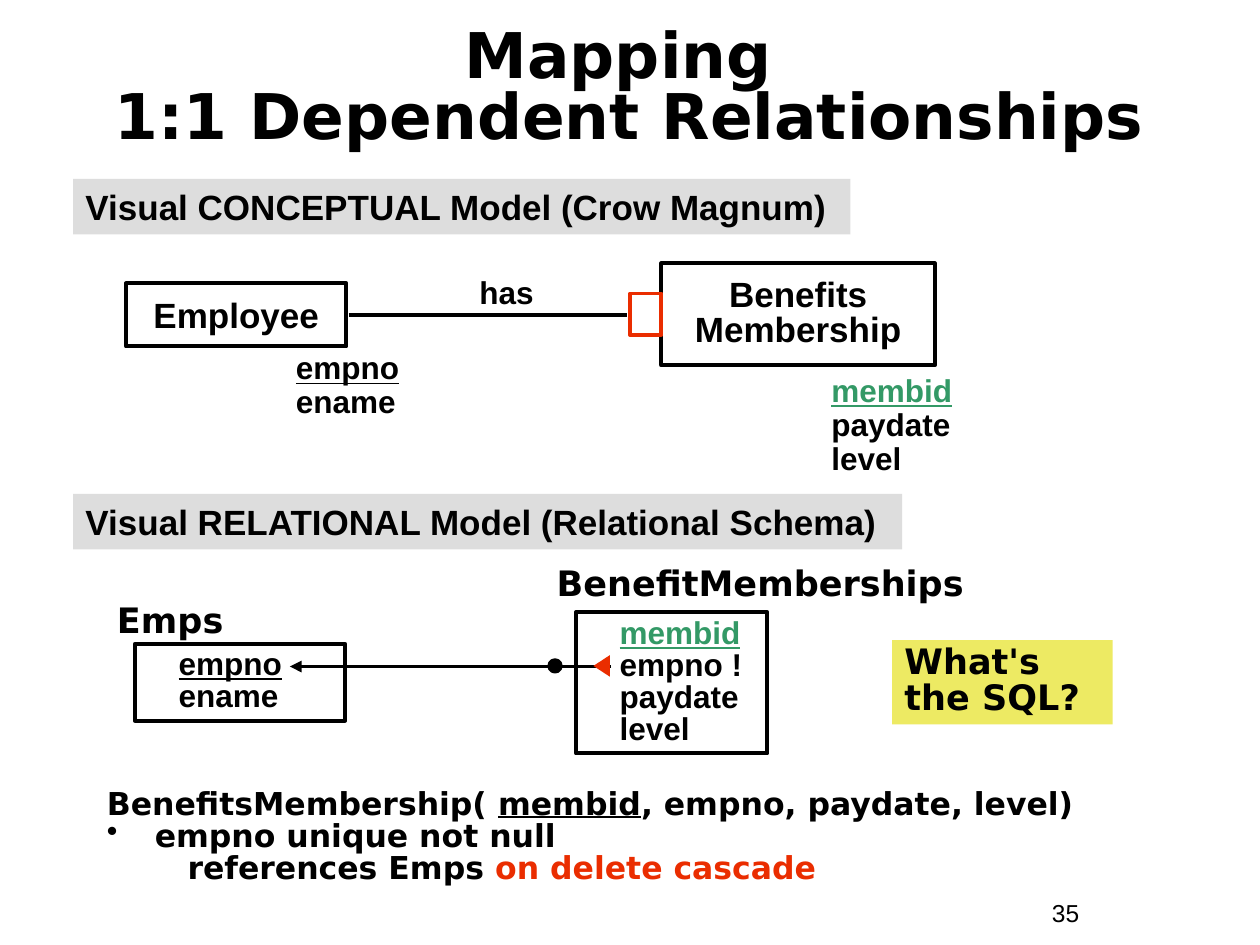
"""Build a slide on mapping 1:1 dependent relationships to a relational schema."""
from lxml.etree import SubElement
from pptx import Presentation
from pptx.dml.color import RGBColor
from pptx.enum.shapes import MSO_CONNECTOR, MSO_SHAPE
from pptx.enum.text import MSO_ANCHOR, PP_ALIGN
from pptx.oxml.ns import qn
from pptx.util import Inches, Pt

BLACK, GREEN, RED, GREY, YELLOW = "000000", "339966", "EA2D00", "DDDDDD", "EDEA63"
SANS, DISPLAY = "Arial", "DejaVu Sans"
LEFT, CENTER = PP_ALIGN.LEFT, PP_ALIGN.CENTER
TOP, MIDDLE = MSO_ANCHOR.TOP, MSO_ANCHOR.MIDDLE


def add_shape(kind, place, fill=None, line=None):
    """Add a preset shape without shadow, with optional fill and outline."""
    shape = page.shapes.add_shape(kind, *map(Inches, place))
    shape.shadow.inherit = False
    if fill:
        shape.fill.solid()
        shape.fill.fore_color.rgb = RGBColor.from_string(fill)
    else:
        shape.fill.background()
    if line:
        shape.line.color.rgb = RGBColor.from_string(line)
        shape.line.width = Pt(2.25)
    else:
        shape.line.fill.background()
    return shape


def write(box, lines, size, font=SANS, spacing=1, align=LEFT, anchor=TOP, indent=0, bold=True):
    """Write one paragraph per line, each a list of (text, colour, underline) spans."""
    frame = box.text_frame
    frame.word_wrap = True
    frame.vertical_anchor = anchor
    for index, spans in enumerate(lines):
        para = frame.paragraphs[0] if index == 0 else frame.add_paragraph()
        para.alignment = align
        para.line_spacing = spacing
        if indent:
            para._p.get_or_add_pPr().set("marL", str(Inches(indent)))
        para.font.size = Pt(size)
        para.font.name = font
        para.font.bold = bold
        para.font.color.rgb = RGBColor.from_string(BLACK)
        for text, colour, underline in [(spans, BLACK, False)] if isinstance(spans, str) else spans:
            span = para.add_run()
            span.text = text
            if colour != BLACK:
                span.font.color.rgb = RGBColor.from_string(colour)
            if underline:
                span.font.underline = True


deck = Presentation()
deck.slide_width, deck.slide_height = Inches(10), Inches(7.5)
page = deck.slides.add_slide(deck.slide_layouts[6])

employee_key = [("empno", BLACK, True)]
member_key = [("membid", GREEN, True)]

labels = [
    ((0.33, 0.26, 9.33, 0.92), ["Mapping ", "1:1 Dependent Relationships"],
     dict(size=36, font=DISPLAY, spacing=0.8, align=CENTER, anchor=MIDDLE)),
    ((8.25, 7.08, 0.92, 0.34), ["35"], dict(size=14, bold=False)),
    ((3.08, 2.12, 1.88, 0.4), ["has"], dict(size=18, align=CENTER)),
    ((2.25, 2.75, 1.17, 0.64), [employee_key, "ename"], dict(size=18, spacing=0.9)),
    ((6.5, 2.93, 1.17, 0.91), [member_key, "paydate", "level"], dict(size=18, spacing=0.9)),
    ((0.83, 4.7, 2.15, 0.44), ["Emps"], dict(size=20, font=DISPLAY)),
    ((4.32, 4.46, 3.85, 0.39), ["BenefitMemberships"],
     dict(size=20, font=DISPLAY, spacing=0.85)),
]
for place, lines, style in labels:
    write(page.shapes.add_textbox(*map(Inches, place)), lines, **style)

boxes = [
    ((0.58, 1.42, 6.17, 0.44), GREY, None, ["Visual CONCEPTUAL Model (Crow Magnum)"],
     dict(size=20)),
    ((0.58, 3.92, 6.58, 0.44), GREY, None, ["Visual RELATIONAL Model (Relational Schema)"],
     dict(size=20)),
    ((1, 2.25, 1.75, 0.5), None, BLACK, ["Employee"],
     dict(size=20, align=CENTER, anchor=MIDDLE)),
    ((5.25, 2.09, 2.17, 0.81), None, BLACK, ["Benefits", "Membership"],
     dict(size=20, spacing=0.85, align=CENTER, anchor=MIDDLE)),
    ((1.07, 5.11, 1.67, 0.61), None, BLACK, [employee_key, "ename"],
     dict(size=18, spacing=0.85, indent=0.25)),
    ((4.57, 4.86, 1.52, 1.12), None, BLACK, [member_key, "empno !", "paydate", "level"],
     dict(size=18, spacing=0.85, indent=0.25)),
    ((7.08, 5.08, 1.75, 0.67), YELLOW, None, ["What's", "the SQL?"],
     dict(size=20, font=DISPLAY, spacing=0.85)),
]
for place, fill, line, lines, style in boxes:
    write(add_shape(MSO_SHAPE.RECTANGLE, place, fill, line), lines, **style)

for start, end, y, arrow in [(2.77, 4.98, 2.5, False), (4.85, 2.3, 5.29, True)]:
    link = page.shapes.add_connector(
        MSO_CONNECTOR.STRAIGHT, Inches(start), Inches(y), Inches(end), Inches(y))
    link.line.color.rgb = RGBColor.from_string(BLACK)
    link.line.width = Pt(2.25)
    if arrow:
        SubElement(link.line._get_or_add_ln(), qn("a:tailEnd"), type="triangle")
    SubElement(link._element.spPr, qn("a:effectLst"))

add_shape(MSO_SHAPE.RECTANGLE, (5, 2.33, 0.25, 0.33), line=RED)
add_shape(MSO_SHAPE.OVAL, (4.36, 5.24, 0.09, 0.09), BLACK, BLACK)
marker = add_shape(MSO_SHAPE.ISOSCELES_TRIANGLE, (4.69, 5.22, 0.17, 0.13), RED)
marker.rotation = 270

schema = page.shapes.add_textbox(Inches(0.75), Inches(6.22), Inches(8.42), Inches(0.87))
write(schema, [
    [("BenefitsMembership( ", BLACK, False), ("membid", BLACK, True),
     (", empno, paydate, level)", BLACK, False)],
    "empno unique not null",
    [("references Emps ", BLACK, False), ("on delete cascade", RED, False)],
], size=18, font=DISPLAY, spacing=0.85)
bulleted, continued = schema.text_frame.paragraphs[1:]
properties = bulleted._p.get_or_add_pPr()
properties.set("marL", str(Inches(0.38)))
properties.set("indent", str(Inches(-0.38)))
bullet = properties.makeelement(qn("a:buChar"), {"char": "•"})
properties.find(qn("a:defRPr")).addprevious(bullet)
continued._p.get_or_add_pPr().set("marL", str(Inches(0.64)))

deck.save("out.pptx")
